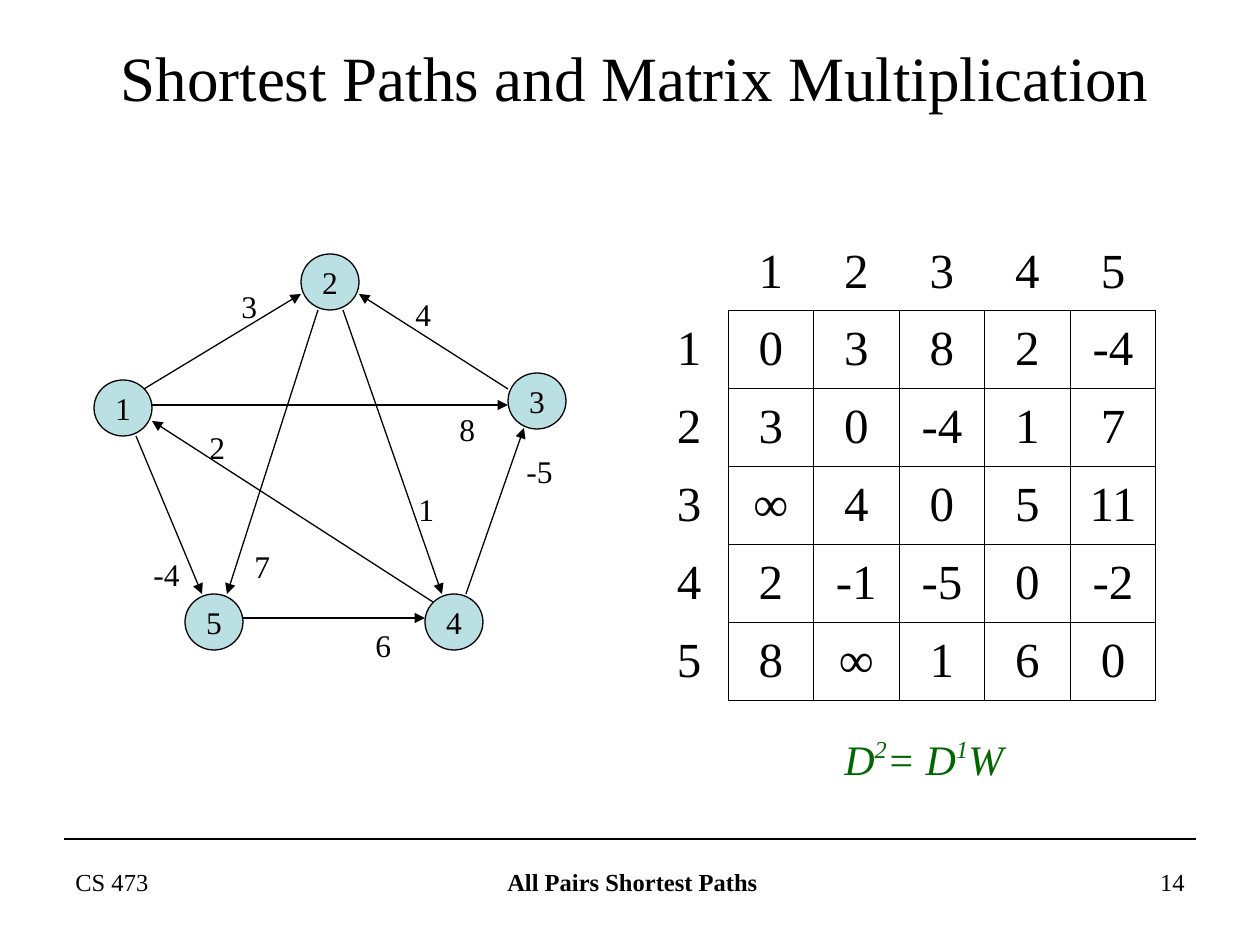
from lxml.etree import SubElement as Sub
from pptx import Presentation
from pptx.dml.color import RGBColor as RGB
from pptx.enum.shapes import MSO_CONNECTOR as Conn, MSO_SHAPE as Shape
from pptx.enum.text import MSO_ANCHOR as Anchor, MSO_AUTO_SIZE as Auto, PP_ALIGN as Align
from pptx.oxml.ns import qn
from pptx.util import Emu, Pt

BLACK = RGB(0x00, 0x00, 0x00)
GREEN = RGB(0x00, 0x66, 0x00)
AQUA = RGB(0xBB, 0xE0, 0xE3)
PX = 914400 / 126  # EMU per pixel

prs = Presentation()
prs.slide_width, prs.slide_height = Emu(9144000), Emu(6858000)
slide = prs.slides.add_slide(prs.slide_layouts[5])
shapes = slide.shapes


def box(*nums):
    return [Emu(round(n * PX)) for n in nums]


def style(frame, size, align=Align.LEFT, color=BLACK):
    frame.auto_size = Auto.NONE
    para = frame.paragraphs[0]
    para.alignment = align
    font = para.font
    font.name, font.size, font.color.rgb = "Times New Roman", Pt(size), color
    return font


# Title
title = shapes.title
title.left, title.top, title.width, title.height = box(68, 38, 1134, 77)
title.text_frame.text = "Shortest Paths and Matrix Multiplication"
title.text_frame.vertical_anchor = Anchor.MIDDLE
style(title.text_frame, 36, Align.CENTER)

# Footer
for x, w, words, align in [
    (63, 294, "CS 473", Align.LEFT),
    (433, 399, "All Pairs Shortest Paths", Align.CENTER),
    (903, 294, "14", Align.RIGHT),
]:
    frame = shapes.add_textbox(*box(x, 861, w, 65)).text_frame
    frame.word_wrap = True
    frame.text = words
    style(frame, 14, align).bold = align == Align.CENTER

# Distance matrix: empty corner, headings, then values
matrix = [
    ["", "1", "2", "3", "4", "5"],
    ["1", "0", "3", "8", "2", "-4"],
    ["2", "3", "0", "-4", "1", "7"],
    ["3", "∞", "4", "0", "5", "11"],
    ["4", "2", "-1", "-5", "0", "-2"],
    ["5", "8", "∞", "1", "6", "0"],
]
table = shapes.add_table(6, 6, *box(650, 233, 506, 467)).table
table.first_row = table.horz_banding = False
for i in range(6):
    table.columns[i].width = box(428 / 5 if i else 78)[0]
    table.rows[i].height = box(78 if i else 77)[0]
for r, row in enumerate(matrix):
    for c, value in enumerate(row):
        cell = table.cell(r, c)
        cell.text = value
        cell.vertical_anchor = Anchor.MIDDLE
        style(cell.text_frame, 28, Align.CENTER)
        inner = r and c
        drawn = {"L": inner, "R": r, "T": inner, "B": c}
        props = cell._tc.get_or_add_tcPr()
        for side, shown in drawn.items():
            edge = Sub(props, qn("a:ln" + side), w="5715")
            if shown:
                fill = Sub(edge, qn("a:solidFill"))
                Sub(fill, qn("a:srgbClr"), val=str(BLACK))
            else:
                Sub(edge, qn("a:noFill"))
        cell.fill.background()

# Matrix product
frame = shapes.add_textbox(*box(832, 727, 194, 63)).text_frame
frame.word_wrap = False
for words, raised in [("D", 0), ("2", 1), ("= D", 0), ("1", 1), ("W", 0)]:
    run = frame.paragraphs[0].add_run()
    run.text = words
    if raised:
        run._r.get_or_add_rPr().set("baseline", "40000")
style(frame, 24, color=GREEN).italic = True

# Graph nodes
spots = [(94, 380), (301, 254), (508, 373), (425, 594), (185, 594)]
for num, (x, y) in enumerate(spots, 1):
    node = shapes.add_shape(Shape.OVAL, *box(x, y, 58, 56))
    node.shadow.inherit = False
    node.fill.solid()
    node.fill.fore_color.rgb = AQUA
    node.line.color.rgb, node.line.width = BLACK, Pt(0.75)
    frame = node.text_frame
    frame.text = str(num)
    frame.word_wrap = False
    frame.vertical_anchor = Anchor.MIDDLE
    style(frame, 18, Align.CENTER)

# Footer rule, then graph edges with arrowheads
rule = (64, 839, 1196, 839)
edges = [
    (144, 389, 301, 294), (508, 389, 359, 294), (466, 594, 524, 428),
    (243, 618, 425, 618), (136, 436, 202, 594), (318, 310, 227, 594),
    (343, 310, 442, 594), (433, 602, 152, 421), (152, 405, 508, 405),
]
for ends in [rule] + edges:
    line = shapes.add_connector(Conn.STRAIGHT, *box(*ends))
    line.line.color.rgb, line.line.width = BLACK, Pt(0.75)
    if ends != rule:
        Sub(line.line._get_or_add_ln(), qn("a:tailEnd"), type="triangle")
    Sub(line._element.spPr, qn("a:effectLst"))

# Edge weights
for x, y, weight in [
    (197, 422, "2"), (406, 484, "1"), (403, 289, "4"),
    (229, 281, "3"), (447, 404, "8"), (514, 446, "-5"),
    (141, 549, "-4"), (363, 620, "6"), (242, 541, "7"),
]:
    frame = shapes.add_textbox(*box(x, y, 26 + 13 * len(weight), 50)).text_frame
    frame.word_wrap = False
    frame.text = weight
    style(frame, 18)

prs.save("out.pptx")
